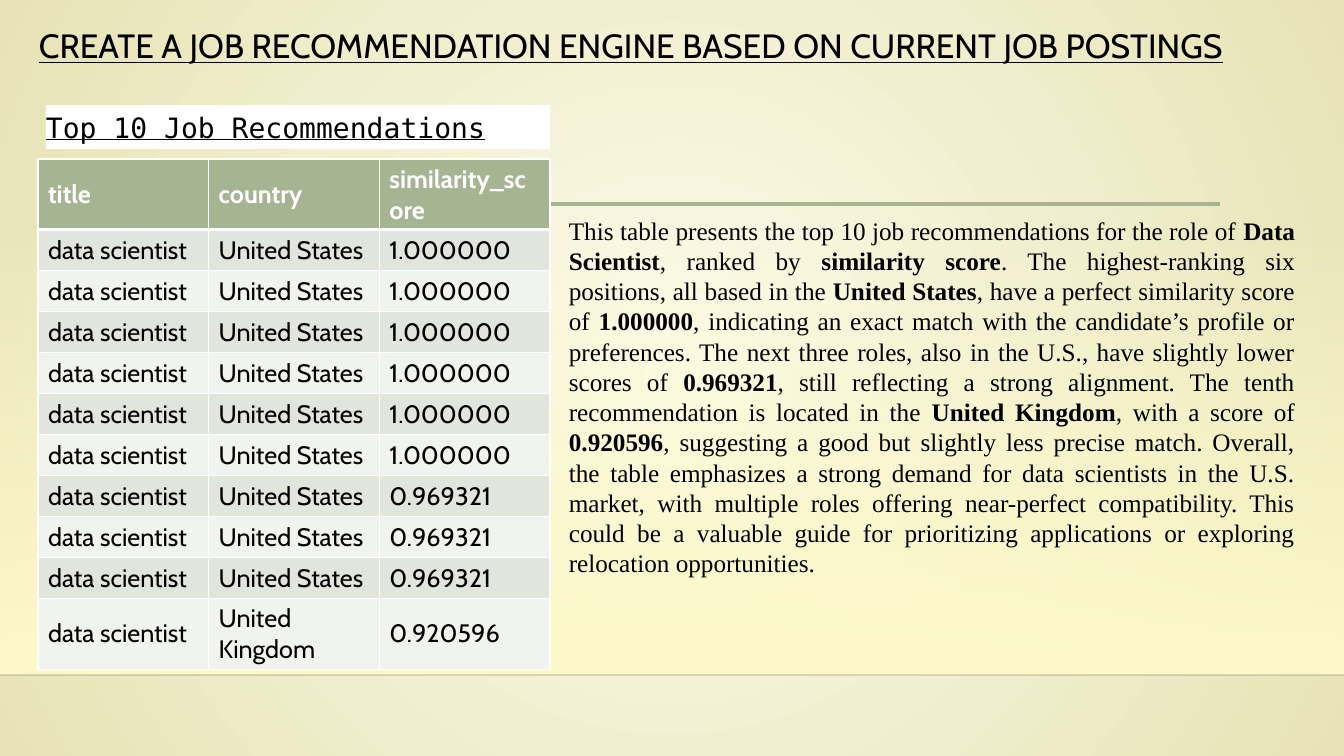
import lxml.etree
import pptx
import pptx.dml.color
import pptx.enum.dml
import pptx.enum.shapes
import pptx.enum.text
import pptx.oxml
import pptx.oxml.ns
import pptx.util

RGBColor = pptx.dml.color.RGBColor
qn = pptx.oxml.ns.qn

PX = 914400 / 100.8
SLIDE_W, SLIDE_H = 1344, 756

BLACK = RGBColor(0x00, 0x00, 0x00)
WHITE = RGBColor(0xFF, 0xFF, 0xFF)
SAGE = RGBColor(0xA5, 0xB5, 0x92)
BAND_DARK = RGBColor(0xE1, 0xE5, 0xDC)
BAND_LIGHT = RGBColor(0xF0, 0xF3, 0xEE)
CREAM = RGBColor(0xFC, 0xFB, 0xEA)
KHAKI = RGBColor(0xE7, 0xE3, 0xB6)
GLOW = RGBColor(0xFE, 0xFA, 0xC9)
FLOOR = RGBColor(0x00, 0x00, 0x01)

RADIAL = '<a:path path="circle"><a:fillToRect l="50000" t="50000" r="50000" b="50000"/></a:path>'
DOWNWARD = '<a:lin ang="5400000" scaled="0"/>'

HEADINGS = ("title", "country", "similarity_score")
SCORES = ["1.000000"] * 6 + ["0.969321"] * 3 + ["0.920596"]
COUNTRIES = ["United States"] * 9 + ["United Kingdom"]

SUMMARY_PHRASES = (
    "This table presents the top 10 job recommendations for the role of ",
    "Data Scientist",
    ", ranked by ",
    "similarity score",
    ". The highest-ranking six positions, all based in the ",
    "United States",
    ", have a perfect similarity score of ",
    "1.000000",
    ", indicating an exact match with the candidate’s profile or preferences. "
    "The next three roles, also in the U.S., have slightly lower scores of ",
    "0.969321",
    ", still reflecting a strong alignment. The tenth recommendation is located in the ",
    "United Kingdom",
    ", with a score of ",
    "0.920596",
    ", suggesting a good but slightly less precise match. Overall, the table emphasizes "
    "a strong demand for data scientists in the U.S. market, with multiple roles offering "
    "near-perfect compatibility. This could be a valuable guide for prioritizing "
    "applications or exploring relocation opportunities.",
)


def px(*lengths):
    return [pptx.util.Emu(round(length * PX)) for length in lengths]


def format_run(run, font, size, color=BLACK, bold=False, underline=False):
    run.font.name = font
    run.font.size = pptx.util.Pt(size)
    run.font.color.rgb = color
    run.font.bold = bold
    run.font.underline = underline


def set_gradient(properties, stops, direction):
    marks = "".join(
        f'<a:gs pos="{pos * 1000}"><a:srgbClr val="{color}">'
        f'<a:alpha val="{opacity * 1000}"/></a:srgbClr></a:gs>'
        for pos, color, opacity in stops
    )
    gradient = pptx.oxml.parse_xml(
        f'<a:gradFill {pptx.oxml.ns.nsdecls("a")} rotWithShape="1">'
        f"<a:gsLst>{marks}</a:gsLst>{direction}</a:gradFill>"
    )
    properties.replace(properties.find(qn("a:solidFill")), gradient)


def add_rule(slide, x1, x2, y, color, weight, opacity=100):
    rule = slide.shapes.add_connector(
        pptx.enum.shapes.MSO_CONNECTOR.STRAIGHT, *px(x1, y, x2, y)
    )
    rule.line.color.rgb = color
    rule.line.width = pptx.util.Pt(weight)
    properties = rule.element.spPr
    tint = properties.find(".//" + qn("a:srgbClr"))
    lxml.etree.SubElement(tint, qn("a:alpha"), val=str(opacity * 1000))
    lxml.etree.SubElement(properties, qn("a:effectLst"))


def add_panel(slide, box, color):
    panel = slide.shapes.add_shape(pptx.enum.shapes.MSO_SHAPE.RECTANGLE, *px(*box))
    panel.shadow.inherit = False
    panel.fill.solid()
    panel.fill.fore_color.rgb = color
    panel.line.fill.background()
    return panel


def add_backdrop(slide, box):
    left, top, width, height = box
    slide.background.fill.solid()
    set_gradient(
        slide.element.find(".//" + qn("p:bgPr")),
        [(0, CREAM, 100), (100, KHAKI, 100)],
        RADIAL,
    )
    floor_y = top + height - 81
    glow = add_panel(slide, (left, floor_y - 452, width, 452), GLOW)
    set_gradient(glow.element.spPr, [(0, GLOW, 0), (100, GLOW, 100)], DOWNWARD)
    add_rule(slide, left, left + width, floor_y, FLOOR, 1, 20)
    add_rule(slide, left + 160, left + 1220, top + 204, SAGE, 2.5)


def add_title(slide, box):
    title = slide.shapes.add_textbox(*px(*box)).text_frame
    title.word_wrap = True
    line = title.paragraphs[0]
    line.text = "CREATE A JOB RECOMMENDATION ENGINE BASED ON CURRENT JOB POSTINGS"
    line.line_spacing = 0.9
    format_run(line.runs[0], "Cabin", 24, underline=True)


def add_table_caption(slide, box):
    caption = add_panel(slide, box, WHITE).text_frame
    caption.word_wrap = True
    caption.vertical_anchor = pptx.enum.text.MSO_ANCHOR.MIDDLE
    caption.margin_left = caption.margin_right = 0
    caption.margin_top = caption.margin_bottom = 0
    line = caption.paragraphs[0]
    line.text = "Top 10 Job Recommendations"
    line.alignment = pptx.enum.text.PP_ALIGN.LEFT
    format_run(line.runs[0], "DejaVu Sans Mono", 20, underline=True)


def set_borders(cell, top, bottom):
    properties = cell._tc.get_or_add_tcPr()
    weights = {"lnL": 1, "lnR": 1, "lnT": top, "lnB": bottom}
    for place, (side, weight) in enumerate(weights.items()):
        border = pptx.oxml.parse_xml(
            f'<a:{side} {pptx.oxml.ns.nsdecls("a")} w="{weight * 12700}">'
            f'<a:solidFill><a:srgbClr val="{WHITE}"/></a:solidFill></a:{side}>'
        )
        properties.insert(place, border)


def add_recommendations(slide, box):
    records = [HEADINGS]
    records += [("data scientist", *pair) for pair in zip(COUNTRIES, SCORES)]
    table = slide.shapes.add_table(len(records), len(HEADINGS), *px(*box)).table
    for row in table.rows:
        row.height = px(box[3] / len(records))[0]
    for r, record in enumerate(records):
        header = r == 0
        band = SAGE if header else BAND_DARK if r % 2 else BAND_LIGHT
        for c, value in enumerate(record):
            cell = table.cell(r, c)
            cell.text = value
            cell.vertical_anchor = pptx.enum.text.MSO_ANCHOR.MIDDLE
            cell.fill.solid()
            cell.fill.fore_color.rgb = band
            set_borders(cell, 3 if r == 1 else 1, 3 if header else 1)
            run = cell.text_frame.paragraphs[0].runs[0]
            format_run(run, "Cabin", 18, WHITE if header else BLACK, bold=header)


def add_summary(slide, box):
    summary = slide.shapes.add_textbox(*px(*box)).text_frame
    summary.word_wrap = True
    summary.auto_size = pptx.enum.text.MSO_AUTO_SIZE.SHAPE_TO_FIT_TEXT
    paragraph = summary.paragraphs[0]
    paragraph.alignment = pptx.enum.text.PP_ALIGN.JUSTIFY
    for i, phrase in enumerate(SUMMARY_PHRASES):
        run = paragraph.add_run()
        run.text = phrase
        format_run(run, "Times New Roman", 18, bold=i % 2 == 1)


def main():
    deck = pptx.Presentation()
    deck.slide_width, deck.slide_height = px(SLIDE_W, SLIDE_H)
    slide = deck.slides.add_slide(deck.slide_layouts[6])
    add_backdrop(slide, (0, 0, SLIDE_W, SLIDE_H))
    add_title(slide, (29, 25, 1269, 58))
    add_table_caption(slide, (46, 105, 504, 44))
    add_recommendations(slide, (38, 159, 512, 451))
    add_summary(slide, (559, 210, 746, 377))
    deck.save("out.pptx")


if __name__ == "__main__":
    main()
